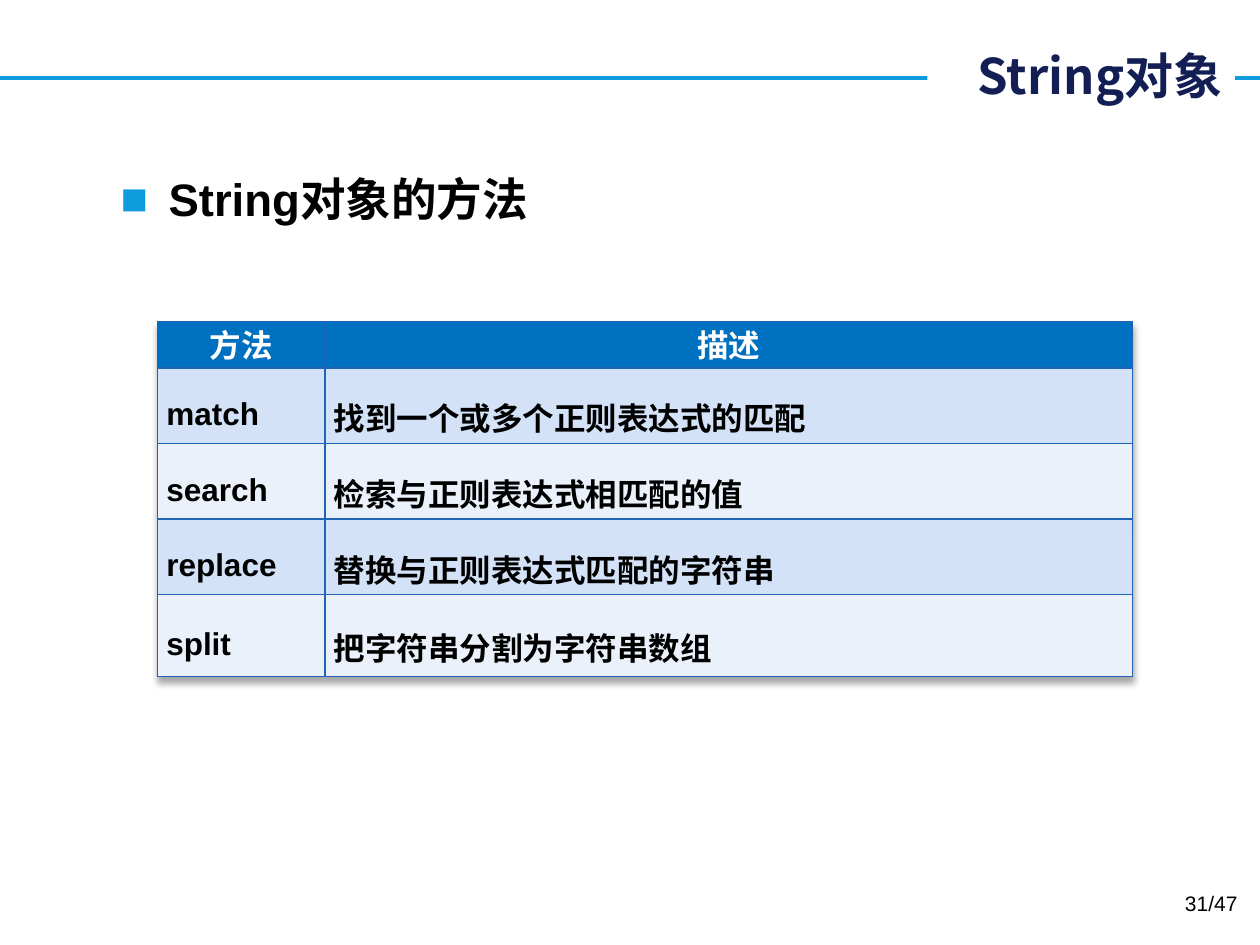
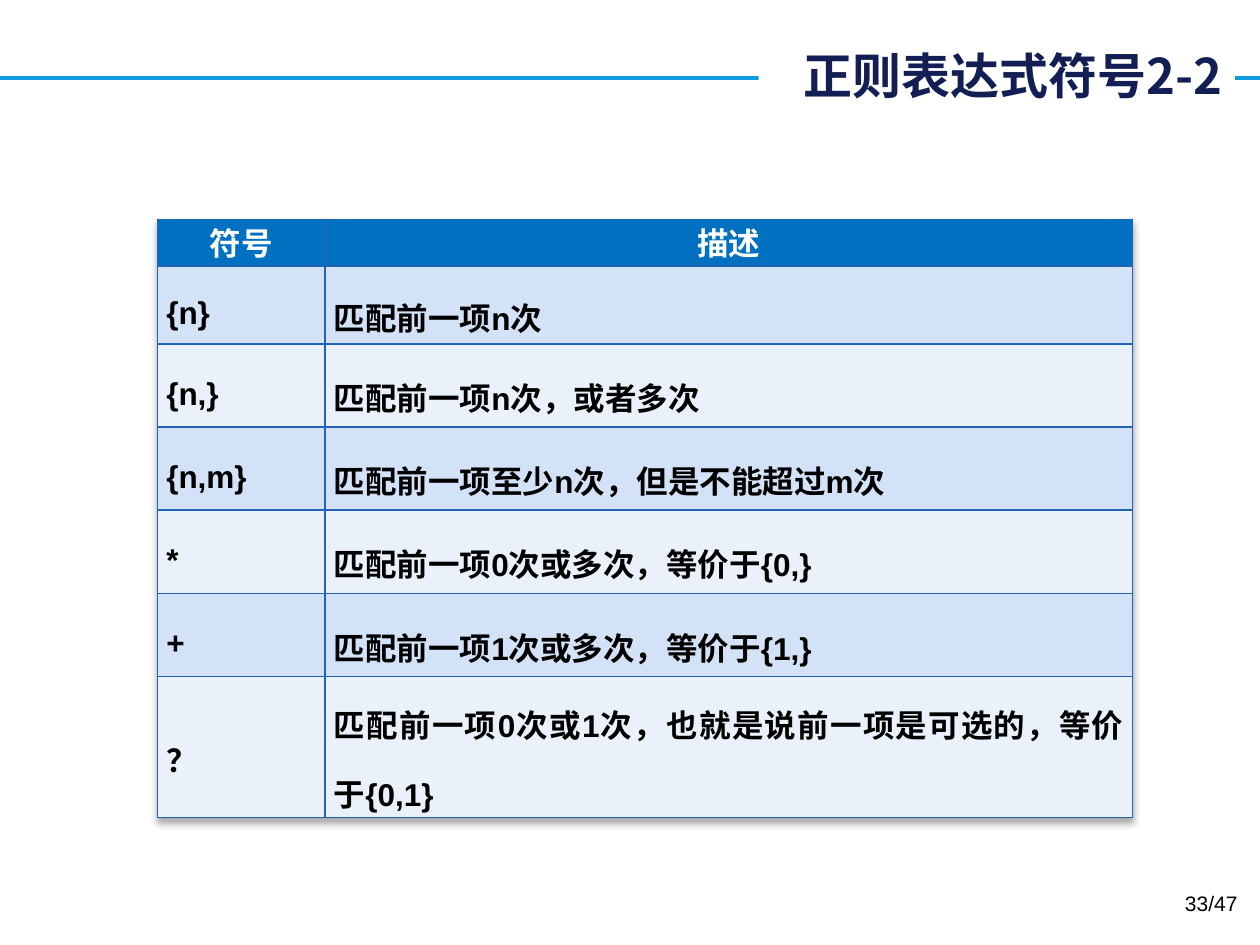
from lxml.etree import SubElement as Sub
from pptx import Presentation
from pptx.dml.color import RGBColor as RGB
from pptx.enum.shapes import MSO_CONNECTOR as Conn
from pptx.enum.text import MSO_ANCHOR as Anchor, MSO_AUTO_SIZE as Auto, PP_ALIGN as Align
from pptx.oxml.ns import qn
from pptx.util import Inches, Pt

HUES = {
    "rule": "0E9CDE",
    "title": "121E54",
    "head": "0070C0",
    "odd": "D3E2F7",
    "even": "EAF1FB",
    "edge": "2163B4",
    "white": "FFFFFF",
    "black": "000000",
}
LATIN, HAN = "Arial", "Noto Sans CJK SC"
TITLE = {"name": HAN, "size": Pt(28), "bold": True}
POINT = {"name": LATIN, "size": Pt(26), "bold": True}
CELL = {"name": LATIN, "size": Pt(18), "bold": True}
PAGE = {"name": LATIN, "size": Pt(12), "bold": False}
PAD = {"margin_left": Inches(0.07), "margin_right": Inches(0.07),
       "margin_top": 0, "margin_bottom": 0}
HEAD = {"alignment": Align.CENTER, "space_before": Pt(3.6)}
BODY = {"alignment": Align.JUSTIFY, "line_spacing": 1.5}
RIGHT = {"alignment": Align.RIGHT}


def apply(item, vals):
    for key, val in vals.items():
        setattr(item, key, val)


def paint(fill, hue):
    fill.solid()
    fill.fore_color.rgb = RGB.from_string(HUES[hue])


def tint(parent, hue):
    Sub(Sub(parent, qn("a:solidFill")), qn("a:srgbClr"), val=HUES[hue])


def write(frame, text, style, hue, para):
    line = frame.paragraphs[0]
    apply(line, para)
    run = line.add_run()
    run.text = text
    apply(run.font, style)
    run.font.color.rgb = RGB.from_string(HUES[hue])
    Sub(run.font._element, qn("a:ea"), typeface=HAN)
    return line


def add_text(slide, box, text, style, para):
    shape = slide.shapes.add_textbox(*map(Inches, box))
    shape.text_frame.word_wrap = True
    return write(shape.text_frame, text, style, "black", para)


def add_title(slide, text, width):
    rule = slide.shapes.add_connector(
        Conn.STRAIGHT, 0, Inches(0.62), Inches(10), Inches(0.62))
    rule.line.width = Pt(2.25)
    rule.line.color.rgb = RGB.from_string(HUES["rule"])
    Sub(rule._element.spPr, qn("a:effectLst"))
    slide.shapes.element.insert(2, rule._element)
    title = slide.shapes.title
    apply(title, {"left": Inches(9.8 - width), "top": Inches(0.31),
                  "width": Inches(width), "height": Inches(0.57)})
    paint(title.fill, "white")
    apply(title.text_frame, {"word_wrap": True, "auto_size": Auto.NONE,
                             "vertical_anchor": Anchor.MIDDLE})
    write(title.text_frame, text, TITLE, "title", RIGHT)


def add_point(slide, box, text):
    line = add_text(slide, box, text, POINT, {"space_before": Pt(5.2)})
    props = line._p.get_or_add_pPr()
    props.set("marL", str(Inches(0.38)))
    props.set("indent", str(Inches(-0.38)))
    Sub(Sub(props, qn("a:buClr")), qn("a:srgbClr"), val=HUES["rule"])
    Sub(props, qn("a:buFont"), typeface=LATIN)
    Sub(props, qn("a:buChar"), char="■")


def frame_cell(cell):
    props = cell._tc.get_or_add_tcPr()
    for spot, side in enumerate(("lnL", "lnR", "lnT", "lnB")):
        edge = Sub(props, qn("a:" + side), w=str(Pt(1)))
        tint(edge, "edge")
        props.insert(spot, edge)


def add_shade(table):
    props = table._tbl.tblPr
    glow = Sub(props, qn("a:effectLst"))
    props.insert(0, glow)
    cast = Sub(glow, qn("a:outerShdw"), blurRad=str(Pt(4)), dist=str(Pt(3)),
               dir="5400000", rotWithShape="0")
    tone = Sub(cast, qn("a:srgbClr"), val=HUES["black"])
    Sub(tone, qn("a:alpha"), val="35000")


def add_grid(slide, left, top, widths, heights, rows):
    size = sum(widths), sum(heights)
    table = slide.shapes.add_table(
        len(rows), len(widths), *map(Inches, (left, top, *size))).table
    apply(table, {"first_row": False, "horz_banding": False})
    add_shade(table)
    for col, width in zip(table.columns, widths):
        col.width = Inches(width)
    for num, (row, height, texts) in enumerate(zip(table.rows, heights, rows)):
        row.height = Inches(height)
        band = ("odd" if num % 2 else "even") if num else "head"
        for cell, text in zip(row.cells, texts):
            apply(cell, PAD)
            cell.vertical_anchor = Anchor.MIDDLE if num else Anchor.TOP
            paint(cell.fill, band)
            frame_cell(cell)
            write(cell.text_frame, text, CELL, "black" if num else "white",
                  BODY if num else HEAD)


def add_page(deck, title, width, top, heights, rows, page, point=None):
    slide = deck.slides.add_slide(deck.slide_layouts[5])
    add_title(slide, title, width)
    if point:
        add_point(slide, (0.86, 1.31, 8.36, 0.64), point)
    add_grid(slide, 1.25, top, (1.33, 6.41), heights, rows)
    add_text(slide, (7.59, 7.02, 2.33, 0.4), page, PAGE, RIGHT)


def main():
    deck = Presentation()
    apply(deck, {"slide_width": Inches(10), "slide_height": Inches(7.5)})
    methods = [
        ("方法", "描述"),
        ("match", "找到一个或多个正则表达式的匹配"),
        ("search", "检索与正则表达式相匹配的值"),
        ("replace", "替换与正则表达式匹配的字符串"),
        ("split", "把字符串分割为字符串数组"),
    ]
    signs = [
        ("符号", "描述"),
        ("{n}", "匹配前一项n次"),
        ("{n,}", "匹配前一项n次，或者多次"),
        ("{n,m}", "匹配前一项至少n次，但是不能超过m次"),
        ("*", "匹配前一项0次或多次，等价于{0,}"),
        ("+", "匹配前一项1次或多次，等价于{1,}"),
        ("？", "匹配前一项0次或1次，也就是说前一项是可选的，等价于{0,1}"),
    ]
    add_page(deck, "String对象", 2.44, 2.55, [0.37] + [0.6] * 3 + [0.65],
             methods, "31/47", "String对象的方法")
    add_page(deck, "正则表达式符号2-2", 3.78, 1.74, [0.37, 0.62] + [0.66] * 4 + [1.12],
             signs, "33/47")
    deck.save("out.pptx")


if __name__ == "__main__":
    main()
